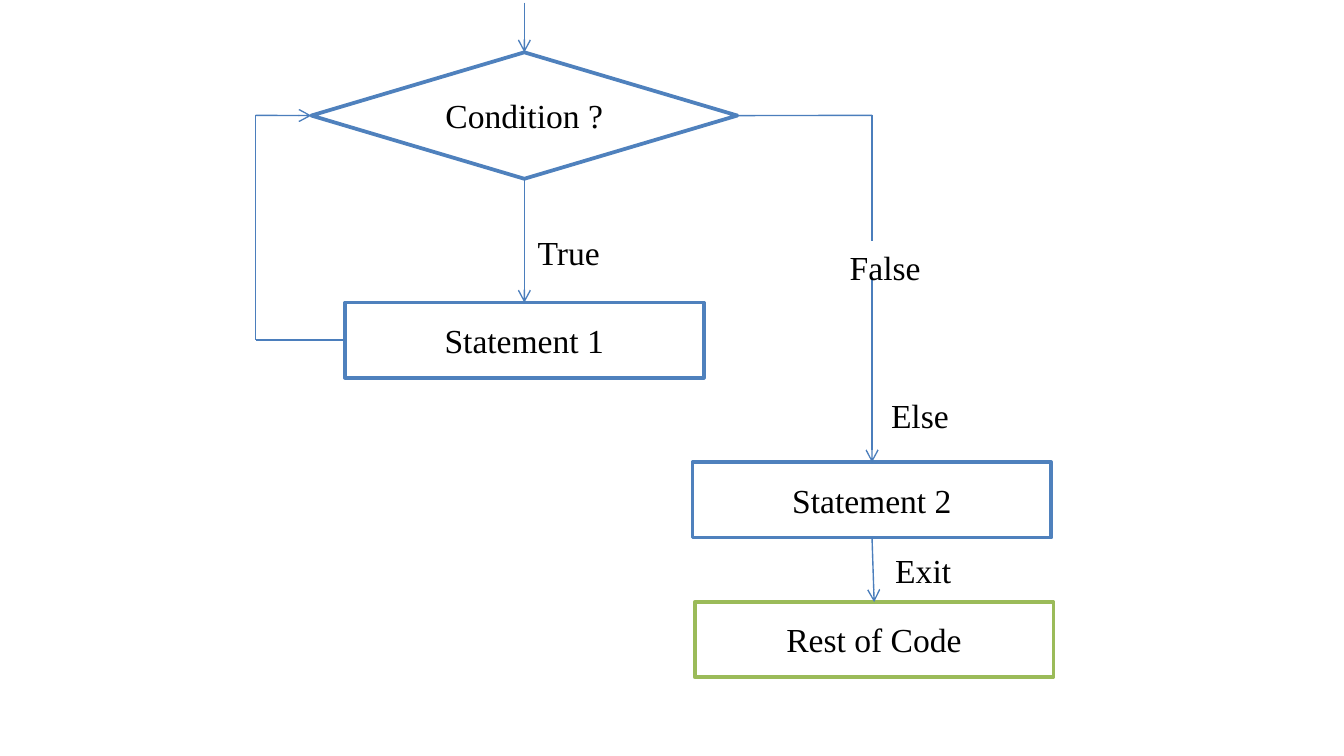
from pptx import Presentation
from pptx.dml.color import RGBColor
from pptx.enum.shapes import MSO_CONNECTOR, MSO_SHAPE
from pptx.enum.text import MSO_ANCHOR, MSO_AUTO_SIZE, PP_ALIGN
from pptx.oxml.ns import qn
from pptx.util import Cm, Pt
from lxml.etree import SubElement

BLUE = RGBColor(0x4F, 0x81, 0xBD)
GREEN = RGBColor(0x9B, 0xBB, 0x59)
LINE = RGBColor(0x4B, 0x7E, 0xBC)
WHITE = RGBColor(255, 255, 255)
BLACK = RGBColor(0, 0, 0)
FONT = "Times New Roman"
TOP, LEFT, BOTTOM, RIGHT = range(4)

RECT = (MSO_SHAPE.RECTANGLE, 6.78, 1.42)
TEST = (MSO_SHAPE.FLOWCHART_DECISION, 8.05, 2.39)
MAIN, SIDE, LOOP = 9.91, 16.48, 4.83
TEST_Y, LOOP_Y = 2.18, 6.43

NODES = [
    ("Condition ?", TEST, MAIN, 0.99, BLUE),
    ("Statement 1", RECT, MAIN, 5.72, BLUE),
    ("Statement 2", RECT, SIDE, 8.74, BLUE),
    ("Rest of Code", RECT, 16.52, 11.38, GREEN),
]
LINKS = [
    ((MAIN, 0.05), ("Condition ?", TOP), True),
    (("Condition ?", BOTTOM), ("Statement 1", TOP), True),
    (("Condition ?", RIGHT), (SIDE, TEST_Y), False),
    ((SIDE, TEST_Y), (SIDE, 4.55), False),
    ((SIDE, 5.23), ("Statement 2", TOP), True),
    ((LOOP, TEST_Y), ("Condition ?", LEFT), True),
    ((LOOP, TEST_Y), (LOOP, LOOP_Y), False),
    ((LOOP, LOOP_Y), ("Statement 1", LEFT), False),
    (("Statement 2", BOTTOM), ("Rest of Code", TOP), True),
]
LABELS = [
    ("False", 15.88, 4.57, 1.73),
    ("Else", 16.66, 7.37, 1.47),
    ("True", 9.98, 4.29, 1.55),
    ("Exit", 16.74, 10.29, 1.45),
]


def write(shape, text, align=PP_ALIGN.LEFT, anchor=MSO_ANCHOR.TOP, wrap=False):
    frame = shape.text_frame
    frame.word_wrap = wrap
    frame.auto_size = MSO_AUTO_SIZE.NONE if wrap else MSO_AUTO_SIZE.SHAPE_TO_FIT_TEXT
    frame.vertical_anchor = anchor
    frame.margin_left = frame.margin_right = Cm(0.18)
    frame.margin_top = frame.margin_bottom = Cm(0.1)
    para = frame.paragraphs[0]
    para.alignment = align
    run = para.add_run()
    run.text = text
    run.font.name = FONT
    run.font.size = Pt(18)
    run.font.color.rgb = BLACK


def add_node(slide, text, form, mid, top, color):
    kind, wide, high = form
    node = slide.shapes.add_shape(kind, Cm(mid - wide / 2), Cm(top), Cm(wide), Cm(high))
    node.shadow.inherit = False
    node.fill.solid()
    node.fill.fore_color.rgb = WHITE
    node.line.color.rgb = color
    node.line.width = Pt(2)
    write(node, text, align=PP_ALIGN.CENTER, anchor=MSO_ANCHOR.MIDDLE, wrap=True)
    return node


def find(nodes, end):
    name, site = end
    if name not in nodes:
        return Cm(name), Cm(site)
    node = nodes[name]
    across, down = {TOP: (0.5, 0), LEFT: (0, 0.5), BOTTOM: (0.5, 1), RIGHT: (1, 0.5)}[site]
    return int(node.left + node.width * across), int(node.top + node.height * down)


def add_link(slide, nodes, start, end, arrow):
    link = slide.shapes.add_connector(
        MSO_CONNECTOR.STRAIGHT, *find(nodes, start), *find(nodes, end))
    for join, (name, site) in ((link.begin_connect, start), (link.end_connect, end)):
        if name in nodes:
            join(nodes[name], site)
    link.line.color.rgb = LINE
    link.line.width = Pt(0.75)
    if arrow:
        SubElement(link.line._get_or_add_ln(), qn("a:tailEnd"), type="arrow")
    SubElement(link._element.spPr, qn("a:effectLst"))


def main():
    deck = Presentation()
    deck.slide_width, deck.slide_height = Cm(25.4), Cm(14.29)
    slide = deck.slides.add_slide(deck.slide_layouts[6])
    nodes = {node[0]: add_node(slide, *node) for node in NODES}
    for link in LINKS:
        add_link(slide, nodes, *link)
    for text, left, top, wide in LABELS:
        write(slide.shapes.add_textbox(Cm(left), Cm(top), Cm(wide), Cm(0.97)), text)
    deck.save("out.pptx")


if __name__ == "__main__":
    main()
